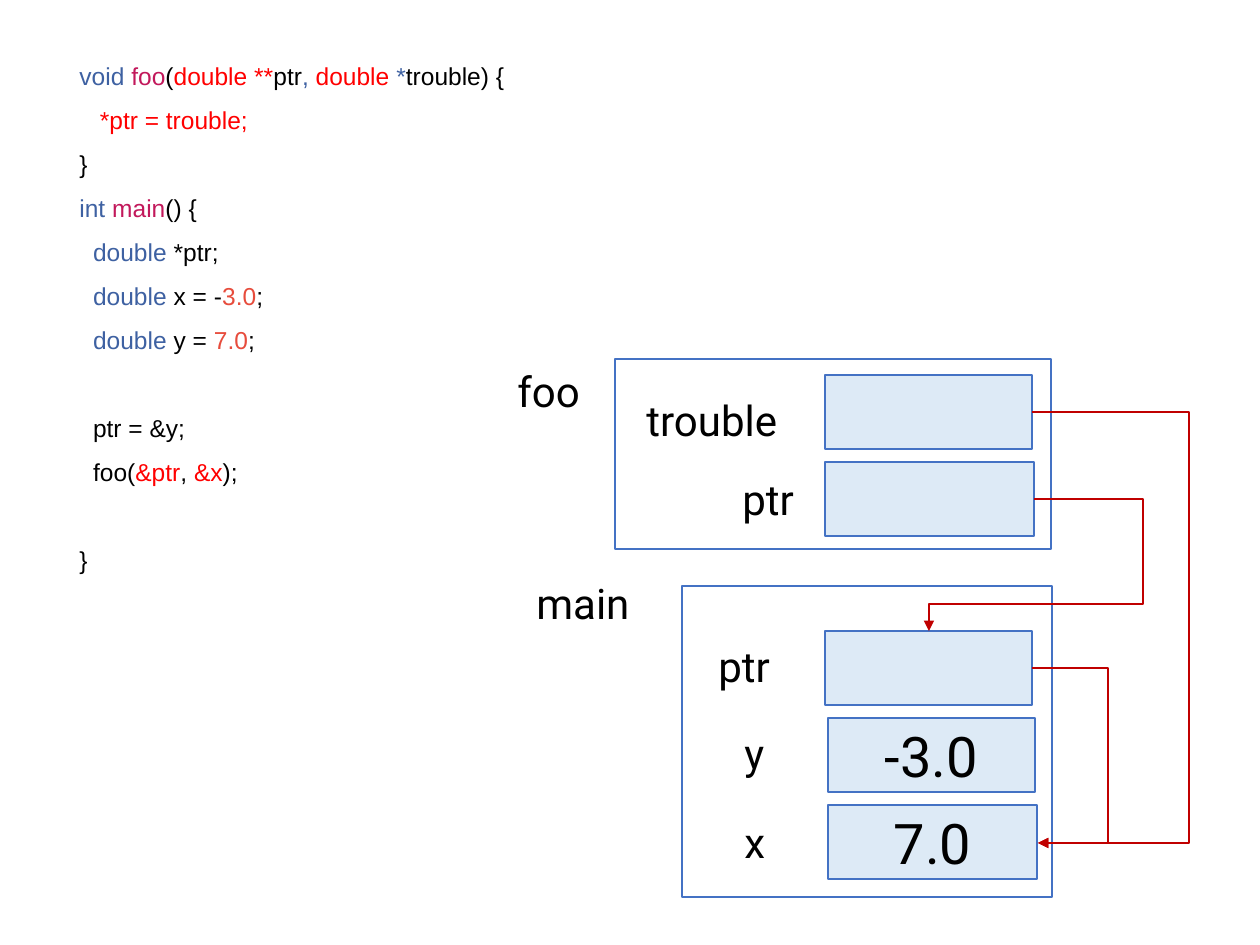
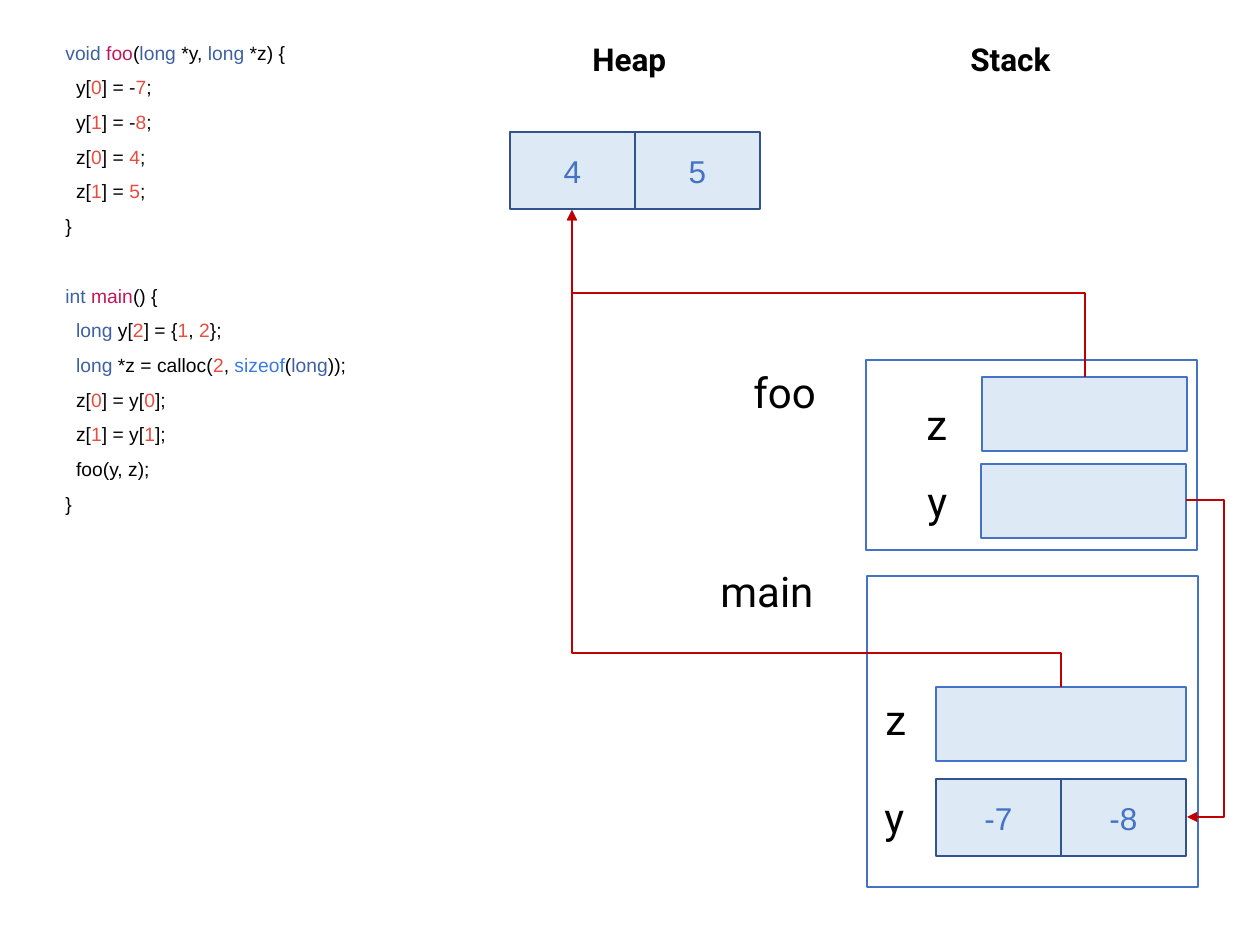
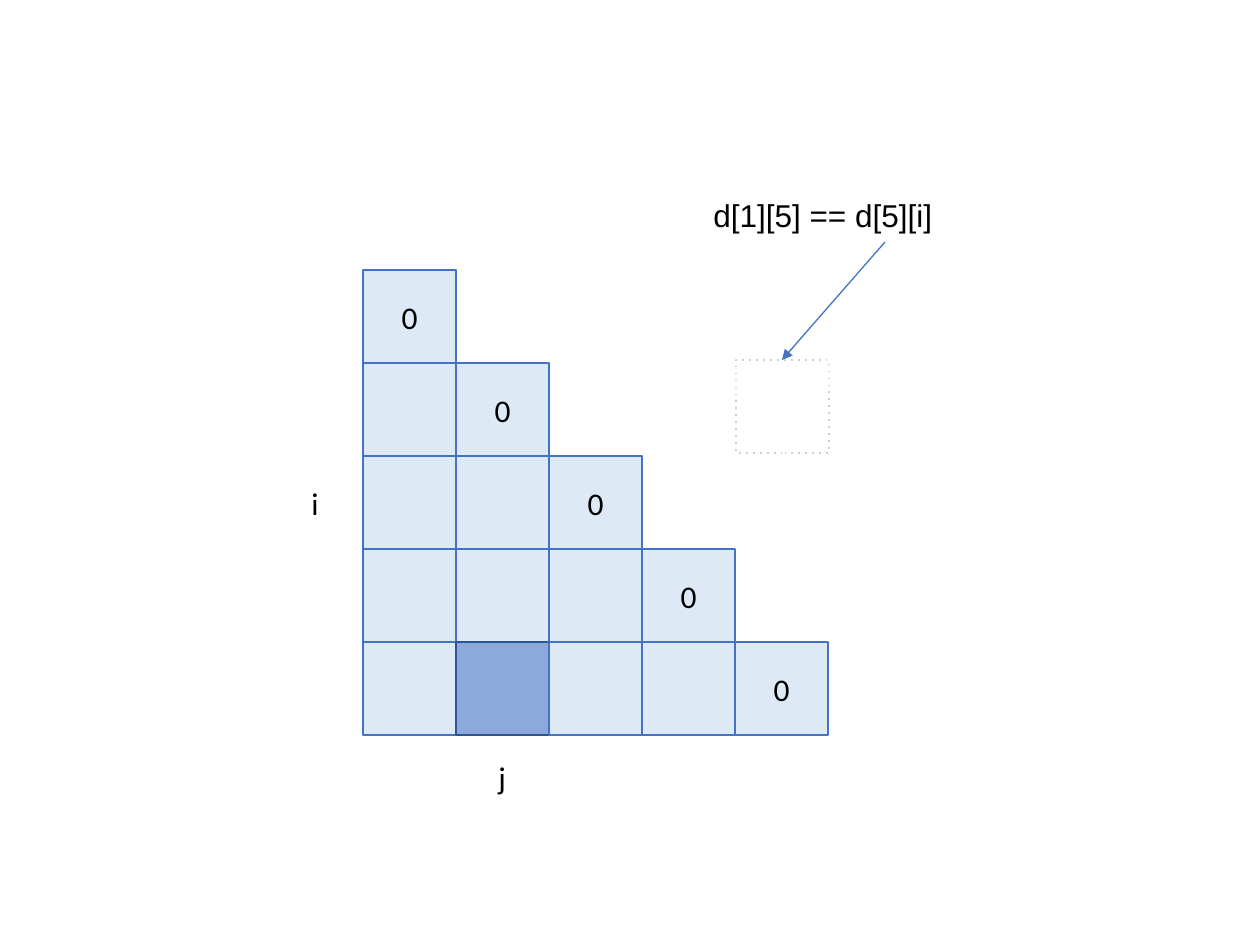
"""Builds three slides of memory diagrams: pointers, heap and stack, triangular matrix."""
from dataclasses import dataclass

from lxml import etree
from pptx import Presentation
from pptx import util as u
from pptx.dml.color import RGBColor
from pptx.enum import shapes, text
from pptx.oxml.ns import qn

PIXEL = u.Inches(1) // 126


@dataclass(frozen=True)
class Theme:
    """Colours, fonts and type sizes of the deck."""
    ink: str = "000000"
    keyword: str = "3E61A2"
    name: str = "C2185B"
    number: str = "E74C3C"
    builtin: str = "3B78E7"
    alert: str = "FF0000"
    paper: str = "FFFFFF"
    cell: str = "DDEAF6"
    edge: str = "4472C4"
    array_edge: str = "31538F"
    marked: str = "8DA9DB"
    marked_edge: str = "2F5496"
    ghost_edge: str = "D0CECE"
    arrow: str = "C00000"
    code_font: str = "Arial"
    label_font: str = "Roboto"
    matrix_font: str = "Calibri"
    code_large: int = 14
    code_small: int = 11
    small: int = 18
    label: int = 24
    value: int = 32


THEME = Theme()
# In marked-up text, `x...` colours a stretch; x is one of these letters.
MARKS = {"k": THEME.keyword, "n": THEME.name, "d": THEME.number,
         "b": THEME.builtin, "r": THEME.alert}


@dataclass(frozen=True)
class Area:
    """A rectangle in pixels."""
    left: int
    top: int
    width: int
    height: int

    def emu(self) -> list[int]:
        """Return the four lengths in EMU."""
        return [n * PIXEL for n in (self.left, self.top, self.width, self.height)]


@dataclass(frozen=True)
class CodeLine:
    """A line of marked-up code, its indent in spaces, and a gap of one line before it."""
    markup: str
    indent: int = 0
    gap: bool = False


@dataclass(frozen=True)
class Slot:
    """A variable: its memory cell, where its name stands, and its value."""
    name: str
    name_area: Area
    cell: Area
    value: str = ""


@dataclass(frozen=True)
class Frame:
    """A stack frame with its title and variables."""
    title: str
    title_area: Area
    area: Area
    slots: tuple[Slot, ...]


def colour(code: str) -> RGBColor:
    """Turn a hex code into a colour."""
    return RGBColor.from_string(code)


def write(para, markup: str, *, size: int, font: str, ink: str = THEME.ink,
          bold: bool = False) -> None:
    """Write marked-up text into a paragraph."""
    for index, part in enumerate(markup.split("`")):
        if not part:
            continue
        marked = index % 2 == 1
        span = para.add_run()
        span.text = part[1:] if marked else part
        span.font.size, span.font.name, span.font.bold = u.Pt(size), font, bold
        span.font.color.rgb = colour(MARKS[part[0]] if marked else ink)


def add_label(page, area: Area, words: str, size: int = THEME.label,
              font: str = THEME.label_font, bold: bool = False) -> None:
    """Add a one-line text box."""
    box = page.shapes.add_textbox(*area.emu())
    box.text_frame.word_wrap = True
    write(box.text_frame.paragraphs[0], words, size=size, font=font, bold=bold)


def add_code(page, area: Area, lines: list[CodeLine], size: int) -> None:
    """Add a program listing with one paragraph for each line."""
    frame = page.shapes.add_textbox(*area.emu()).text_frame
    frame.word_wrap = True
    for index, line in enumerate(lines):
        para = frame.add_paragraph() if index else frame.paragraphs[0]
        para.line_spacing = 1.5
        if line.gap:
            para.space_before = u.Pt(round(size * 1.8))
        if line.indent:
            indent = u.Pt(size * 0.278 * line.indent)
            para._p.get_or_add_pPr().set("marL", str(int(indent)))
        write(para, line.markup, size=size, font=THEME.code_font)


def add_box(page, area: Area, fill: str | None = THEME.cell, edge: str = THEME.edge,
            words: str = "", **style):
    """Add a rectangle, with centred text if there is any."""
    box = page.shapes.add_shape(shapes.MSO_SHAPE.RECTANGLE, *area.emu())
    box.shadow.inherit = False
    if fill is None:
        box.fill.background()
    else:
        box.fill.solid()
        box.fill.fore_color.rgb = colour(fill)
    box.line.color.rgb = colour(edge)
    box.line.width = u.Pt(1)
    if words:
        box.text_frame.vertical_anchor = text.MSO_ANCHOR.MIDDLE
        para = box.text_frame.paragraphs[0]
        para.alignment = text.PP_ALIGN.CENTER
        write(para, words, **style)
    return box


def add_array(page, first: Area, values: tuple[str, ...]) -> None:
    """Add adjoining cells to the right, beginning with the first."""
    for index, value in enumerate(values):
        area = Area(first.left + index * first.width, first.top, first.width, first.height)
        add_box(page, area, edge=THEME.array_edge, words=value, size=THEME.small,
                font=THEME.code_font, ink=THEME.edge)


def add_frame(page, frame: Frame) -> None:
    """Add a stack frame with its variables."""
    add_label(page, frame.title_area, frame.title)
    add_box(page, frame.area, THEME.paper)
    for slot in frame.slots:
        add_label(page, slot.name_area, slot.name)
        add_box(page, slot.cell, words=slot.value, size=THEME.value,
                font=THEME.label_font)


def add_arrow(page, kind, start: tuple, end: tuple, width: float, ink: str):
    """Add a connector with an arrowhead at its end."""
    arrow = page.shapes.add_connector(kind, *(round(n * PIXEL) for n in start + end))
    arrow.line.color.rgb = colour(ink)
    arrow.line.width = u.Pt(width)
    properties = arrow.element.spPr
    etree.SubElement(properties.find(qn("a:ln")), qn("a:tailEnd"), type="triangle")
    etree.SubElement(properties, qn("a:effectLst"))
    return arrow


def set_bends(arrow, *bends: float) -> None:
    """Place the bends of an elbow, as shares of its width and height."""
    geometry = arrow.element.spPr.find(qn("a:prstGeom"))
    geometry.set("prst", f"bentConnector{len(bends) + 2}")
    guides = geometry.find(qn("a:avLst"))
    if guides is None:
        guides = etree.SubElement(geometry, qn("a:avLst"))
    for number, bend in enumerate(bends, 1):
        etree.SubElement(guides, qn("a:gd"), name=f"adj{number}",
                         fmla=f"val {round(bend * 100000)}")


def elbow_sideways(page, start: tuple, end: tuple, width: float, via_x: int,
                   via_y: int | None = None) -> None:
    """Add an elbow that leaves sideways, turns at via_x, and at via_y if given."""
    arrow = add_arrow(page, shapes.MSO_CONNECTOR.ELBOW, start, end, width, THEME.arrow)
    bends = [(via_x - start[0]) / (end[0] - start[0])]
    if via_y is not None:
        bends.append((via_y - start[1]) / (end[1] - start[1]))
    set_bends(arrow, *bends)


def elbow_up_left(page, start: tuple, end: tuple, width: float, via_y: int) -> None:
    """Add an elbow that leaves upwards, turns left at via_y, and goes up to its end."""
    middle_x, middle_y = (start[0] + end[0]) / 2, (start[1] + end[1]) / 2
    half_rise, half_run = (start[1] - end[1]) / 2, (start[0] - end[0]) / 2
    arrow = add_arrow(page, shapes.MSO_CONNECTOR.ELBOW,
                      (middle_x + half_rise, middle_y - half_run),
                      (middle_x - half_rise, middle_y + half_run), width, THEME.arrow)
    arrow.element.spPr.find(qn("a:xfrm")).set("rot", str(90 * 60000))
    set_bends(arrow, (start[1] - via_y) / (start[1] - end[1]))


def build_pointer_page(page) -> None:
    """Draw a call that changes a pointer of its caller."""
    add_code(page, Area(67, 40, 648, 542), [
        CodeLine("`kvoid `` nfoo`".replace("`` n", "``n") +
                 "(`rdouble **`ptr`k, ``rdouble ``k*`trouble) {"),
        CodeLine("`r*ptr = trouble;`", 3),
        CodeLine("}"),
        CodeLine("`kint ``nmain`() {"),
        CodeLine("`kdouble` *ptr;", 2),
        CodeLine("`kdouble` x = -`d3.0`;", 2),
        CodeLine("`kdouble` y = `d7.0`;", 2),
        CodeLine("ptr = &y;", 2, gap=True),
        CodeLine("foo(`r&ptr`, `r&x`);", 2),
        CodeLine("}", gap=True),
    ], THEME.code_large)
    add_frame(page, Frame("main", Area(524, 571, 145, 63), Area(682, 586, 370, 311), (
        Slot("ptr", Area(706, 634, 95, 63), Area(825, 631, 207, 74)),
        Slot("y", Area(732, 721, 52, 63), Area(828, 718, 207, 74), "-3.0"),
        Slot("x", Area(732, 810, 53, 63), Area(828, 805, 209, 74), "7.0"),
    )))
    add_frame(page, Frame("foo", Area(505, 359, 110, 63), Area(615, 359, 436, 190), (
        Slot("trouble", Area(634, 388, 197, 63), Area(825, 375, 207, 74)),
        Slot("ptr", Area(730, 467, 95, 63), Area(825, 462, 209, 74)),
    )))
    elbow_sideways(page, (1032, 668), (1038, 843), 1.5, via_x=1108)
    elbow_sideways(page, (1034, 499), (929, 631), 1.5, via_x=1143, via_y=604)
    elbow_sideways(page, (1032, 412), (1038, 843), 1.5, via_x=1189)


def build_heap_page(page) -> None:
    """Draw arrays on the heap and on the stack."""
    changes = [("y", 0, "-", 7), ("y", 1, "-", 8), ("z", 0, "", 4), ("z", 1, "", 5)]
    add_code(page, Area(53, 23, 447, 499), [
        CodeLine("`kvoid ``nfoo`(`klong` *y, `klong` *z) {"),
        *(CodeLine(f"{array}[`d{index}`] = {sign}`d{value}`;", 2)
          for array, index, sign, value in changes),
        CodeLine("}"),
        CodeLine("`kint ``nmain`() {", gap=True),
        CodeLine("`klong` y[`d2`] = {`d1`, `d2`};", 2),
        CodeLine("`klong` *z = calloc(`d2`, `bsizeof`(`klong`));", 2),
        *(CodeLine(f"z[`d{index}`] = y[`d{index}`];", 2) for index in range(2)),
        CodeLine("foo(y, z);", 2),
        CodeLine("}"),
    ], THEME.code_small)
    for heading, left in (("Heap", 580), ("Stack", 958)):
        add_label(page, Area(left, 34, 125, 50), heading, THEME.small, bold=True)
    add_array(page, Area(510, 132, 125, 77), ("4", "5"))
    add_frame(page, Frame("main", Area(708, 559, 145, 63), Area(867, 576, 331, 311), (
        Slot("z", Area(873, 687, 53, 63), Area(936, 687, 250, 74)),
    )))
    add_label(page, Area(872, 785, 52, 63), "y")
    add_array(page, Area(936, 779, 125, 77), ("-7", "-8"))
    add_frame(page, Frame("foo", Area(741, 360, 110, 63), Area(866, 360, 331, 190), (
        Slot("z", Area(914, 392, 53, 63), Area(982, 377, 205, 74)),
        Slot("y", Area(915, 469, 52, 63), Area(981, 464, 205, 74)),
    )))
    elbow_up_left(page, (1061, 687), (572, 210), 1, via_y=653)
    elbow_sideways(page, (1186, 500), (1187, 817), 1, via_x=1224)
    elbow_up_left(page, (1085, 377), (572, 210), 1, via_y=293)


def build_matrix_page(page) -> None:
    """Draw the lower triangle of a symmetric matrix."""
    side, left, top, marked = 93, 363, 270, (4, 1)
    for row in range(5):
        for column in range(row + 1):
            area = Area(left + column * side, top + row * side, side, side)
            if (row, column) == marked:
                add_box(page, area, THEME.marked, THEME.marked_edge)
            else:
                add_box(page, area, words="0" if row == column else "",
                        size=THEME.small, font=THEME.matrix_font)
    add_label(page, Area(299, 478, 33, 50), "i", THEME.small, THEME.matrix_font)
    add_label(page, Area(486, 752, 33, 50), "j", THEME.small, THEME.matrix_font)
    ghost = add_box(page, Area(736, 360, side, side), None, THEME.ghost_edge)
    outline = ghost.element.spPr.find(qn("a:ln"))
    etree.SubElement(outline, qn("a:prstDash"), val="dot")
    add_label(page, Area(701, 190, 368, 50), "d[1][5] == d[5][i]", THEME.small,
              THEME.code_font)
    add_arrow(page, shapes.MSO_CONNECTOR.STRAIGHT, (885, 242), (782, 360), 0.75,
              THEME.edge)


def main() -> None:
    """Build the deck and save it."""
    deck = Presentation()
    deck.slide_width, deck.slide_height = u.Inches(10), u.Inches(7.5)
    blank = deck.slide_layouts[6]
    for build in (build_pointer_page, build_heap_page, build_matrix_page):
        build(deck.slides.add_slide(blank))
    deck.save("out.pptx")


main()
